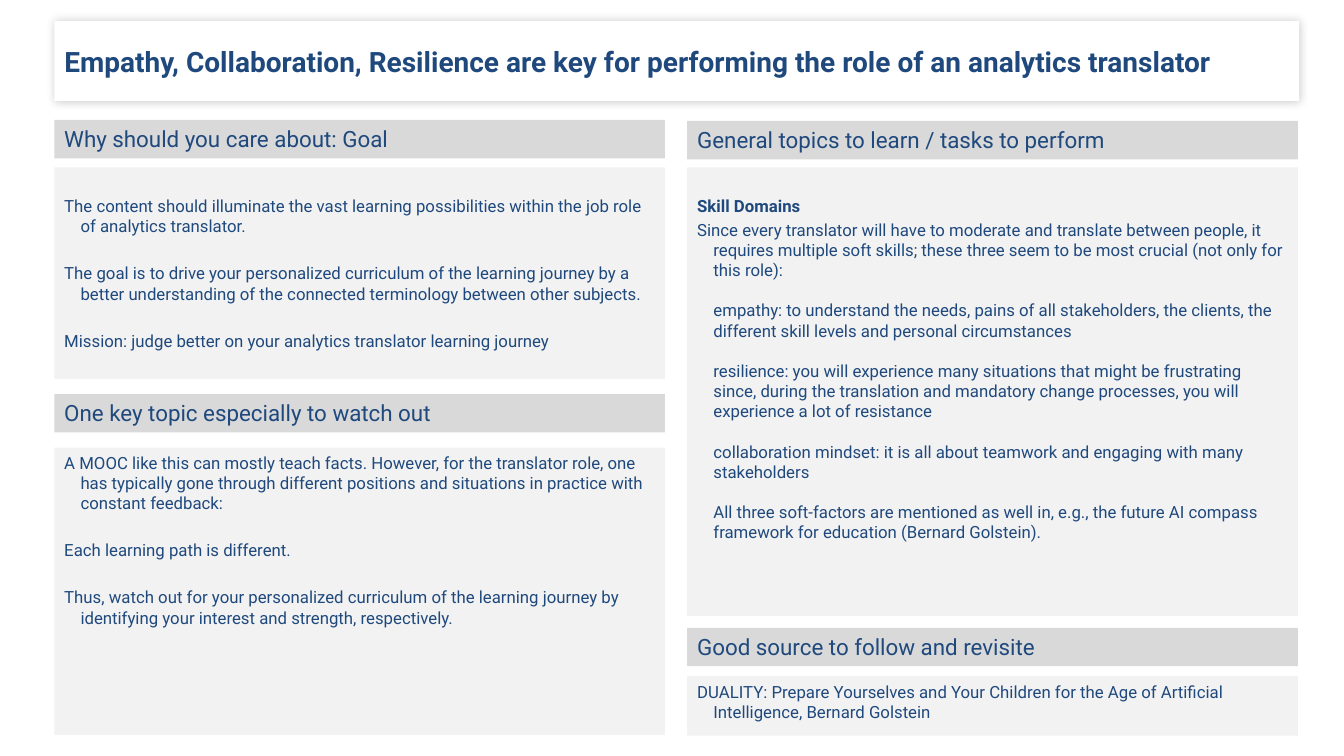
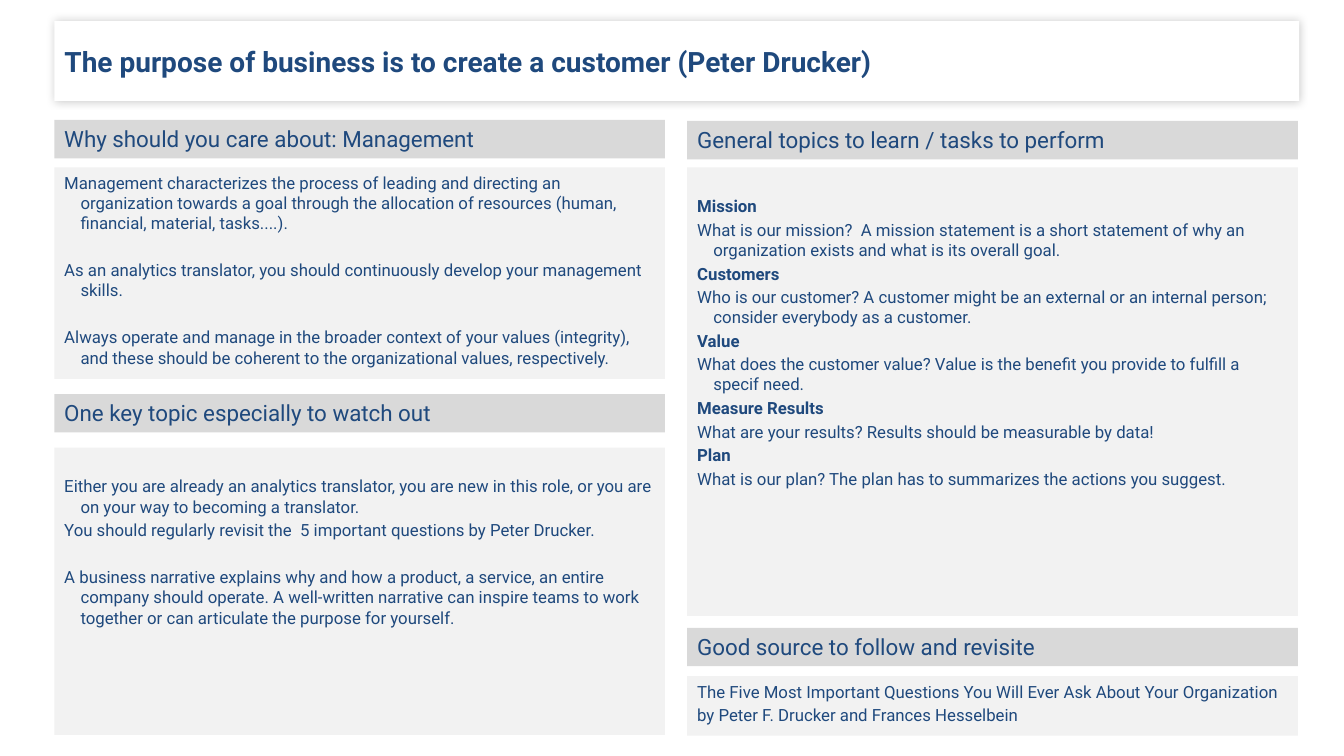
from lxml import etree
from pptx import Presentation
from pptx.dml.color import RGBColor
from pptx.enum.text import MSO_ANCHOR, MSO_AUTO_SIZE, PP_ALIGN
from pptx.oxml.ns import qn
from pptx.util import Cm, Pt

COLORS = {"text": "1F497D", "heading": "D9D9D9", "panel": "F2F2F2",
          "title": "FFFFFF", "shadow": "000000"}
FONT = "Roboto"

# Shared grid
LEFT, RIGHT = Cm(1.37), Cm(17.32)
COLUMN_WIDTH, TITLE_WIDTH = Cm(15.39), Cm(31.37)
HEADING_HEIGHT = Cm(0.97)
INDENT = Cm(0.41)
TOP_INSET, LOW_INSET = Cm(0.13), Cm(0.72)

# Space before a paragraph, in points
NEXT, LINE, SKIP = 2.4, 14.4, 19.2

# Sections: left, heading top, panel top, panel height
SECTIONS = [
    (LEFT, Cm(3.02), Cm(4.22), Cm(5.33)),
    (LEFT, Cm(9.93), Cm(11.28), Cm(7.24)),
    (RIGHT, Cm(3.05), Cm(4.22), Cm(11.3)),
    (RIGHT, Cm(15.82), Cm(17.04), Cm(1.5)),
]
WATCH_OUT = "One key topic especially to watch out"
TOPICS = "General topics to learn / tasks to perform"
SOURCE = "Good source to follow and revisite"

# Per section: heading, top inset, paragraphs as (space before, style, text)
SLIDES = [
    ("Empathy, Collaboration, Resilience are key for performing the role of an analytics translator", [
        ("Why should you care about: Goal", LOW_INSET, [
            (0, "hanging", "The content should illuminate the vast learning possibilities within the job role of analytics translator."),
            (SKIP, "hanging", "The goal is to drive your personalized curriculum of the learning journey by a better understanding of the connected terminology between other subjects."),
            (SKIP, "hanging", "Mission: judge better on your analytics translator learning journey"),
        ]),
        (WATCH_OUT, TOP_INSET, [
            (0, "hanging", "A MOOC like this can mostly teach facts. However, for the translator role, one has typically gone through different positions and situations in practice with constant feedback:"),
            (SKIP, "hanging", "Each learning path is different."),
            (SKIP, "hanging", "Thus, watch out for your personalized curriculum of the learning journey by identifying your interest and strength, respectively."),
        ]),
        (TOPICS, LOW_INSET, [
            (0, "bold", "Skill Domains"),
            (NEXT, "hanging", "Since every translator will have to moderate and translate between people, it requires multiple soft skills; these three seem to be most crucial (not only for this role):"),
            (LINE, "indented", "empathy: to understand the needs, pains of all stakeholders, the clients, the different skill levels and personal circumstances"),
            (LINE, "indented", "resilience: you will experience many situations that might be frustrating since, during the translation and mandatory change processes, you will experience a lot of resistance"),
            (LINE, "indented", "collaboration mindset: it is all about teamwork and engaging with many stakeholders"),
            (LINE, "indented", "All three soft-factors are mentioned as well in, e.g., the future AI compass framework for education (Bernard Golstein)."),
        ]),
        (SOURCE, TOP_INSET, [
            (0, "hanging", "DUALITY: Prepare Yourselves and Your Children for the Age of Artificial Intelligence, Bernard Golstein"),
        ]),
    ]),
    ("The purpose of business is to create a customer (Peter Drucker)", [
        ("Why should you care about: Management", TOP_INSET, [
            (0, "hanging", "Management characterizes the process of leading and directing an organization towards a goal through the allocation of resources (human, financial, material, tasks....)."),
            (SKIP, "hanging", "As an analytics translator, you should continuously develop your management skills."),
            (SKIP, "hanging", "Always operate and manage in the broader context of your values (integrity), and these should be coherent to the organizational values, respectively."),
        ]),
        (WATCH_OUT, LOW_INSET, [
            (0, "hanging", "Either you are already an analytics translator, you are new in this role, or you are on your way to becoming a translator."),
            (NEXT, "hanging", "You should regularly revisit the  5 important questions by Peter Drucker."),
            (SKIP, "hanging", "A business narrative explains why and how a product, a service, an entire company should operate. A well-written narrative can inspire teams to work together or can articulate the purpose for yourself."),
        ]),
        (TOPICS, LOW_INSET, [
            (0, "bold", "Mission"),
            (NEXT, "hanging", "What is our mission?  A mission statement is a short statement of why an organization exists and what is its overall goal."),
            (NEXT, "bold", "Customers"),
            (NEXT, "hanging", "Who is our customer? A customer might be an external or an internal person; consider everybody as a customer."),
            (NEXT, "bold", "Value"),
            (NEXT, "hanging", "What does the customer value? Value is the benefit you provide to fulfill a specif need."),
            (NEXT, "bold", "Measure Results"),
            (NEXT, "hanging", "What are your results? Results should be measurable by data!"),
            (NEXT, "bold", "Plan"),
            (NEXT, "hanging", "What is our plan? The plan has to summarizes the actions you suggest."),
        ]),
        (SOURCE, TOP_INSET, [
            (0, "hanging", "The Five Most Important Questions You Will Ever Ask About Your Organization"),
            (NEXT, "hanging", "by Peter F. Drucker and Frances Hesselbein"),
        ]),
    ]),
]


def fill_box(box, color, paragraphs, size, top_inset=TOP_INSET):
    """Fill a box and write its paragraphs."""
    box.fill.solid()
    box.fill.fore_color.rgb = RGBColor.from_string(COLORS[color])
    frame = box.text_frame
    frame.word_wrap = True
    frame.auto_size = MSO_AUTO_SIZE.NONE
    frame.margin_top = top_inset
    for number, (space, style, text) in enumerate(paragraphs):
        paragraph = frame.add_paragraph() if number else frame.paragraphs[0]
        paragraph.text = text
        paragraph.alignment = PP_ALIGN.LEFT
        paragraph.space_before = Pt(space)
        if style in ("hanging", "indented"):
            properties = paragraph._p.get_or_add_pPr()
            properties.set("marL", str(INDENT))
            properties.set("indent", str(-INDENT if style == "hanging" else 0))
        paragraph.font.name = FONT
        paragraph.font.size = Pt(size)
        paragraph.font.bold = style == "bold"
        paragraph.font.color.rgb = RGBColor.from_string(COLORS["text"])


def add_soft_shadow(box):
    """Give a box a soft shadow on all sides."""
    effects = etree.SubElement(box._element.spPr, qn("a:effectLst"))
    shadow = etree.SubElement(effects, qn("a:outerShdw"), blurRad=str(Pt(6)),
                              dist="0", dir="18900000", algn="ctr", rotWithShape="0")
    color = etree.SubElement(shadow, qn("a:srgbClr"), val=COLORS["shadow"])
    etree.SubElement(color, qn("a:alpha"), val="20000")


deck = Presentation()
deck.slide_width, deck.slide_height = Cm(33.87), Cm(19.05)

for headline, sections in SLIDES:
    slide = deck.slides.add_slide(deck.slide_layouts[5])

    # Title band
    title = slide.shapes.title
    title.left, title.top = LEFT, Cm(0.53)
    title.width, title.height = TITLE_WIDTH, Cm(2.01)
    fill_box(title, "title", [(0, "bold", headline)], 20)
    title.text_frame.vertical_anchor = MSO_ANCHOR.MIDDLE
    add_soft_shadow(title)

    # Four sections, each a heading band above a text panel
    for place, (heading, inset, paragraphs) in zip(SECTIONS, sections):
        left, heading_top, panel_top, panel_height = place
        band = slide.shapes.add_textbox(left, heading_top, COLUMN_WIDTH, HEADING_HEIGHT)
        fill_box(band, "heading", [(0, "plain", heading)], 16)
        panel = slide.shapes.add_textbox(left, panel_top, COLUMN_WIDTH, panel_height)
        fill_box(panel, "panel", paragraphs, 12, inset)

deck.save("out.pptx")
